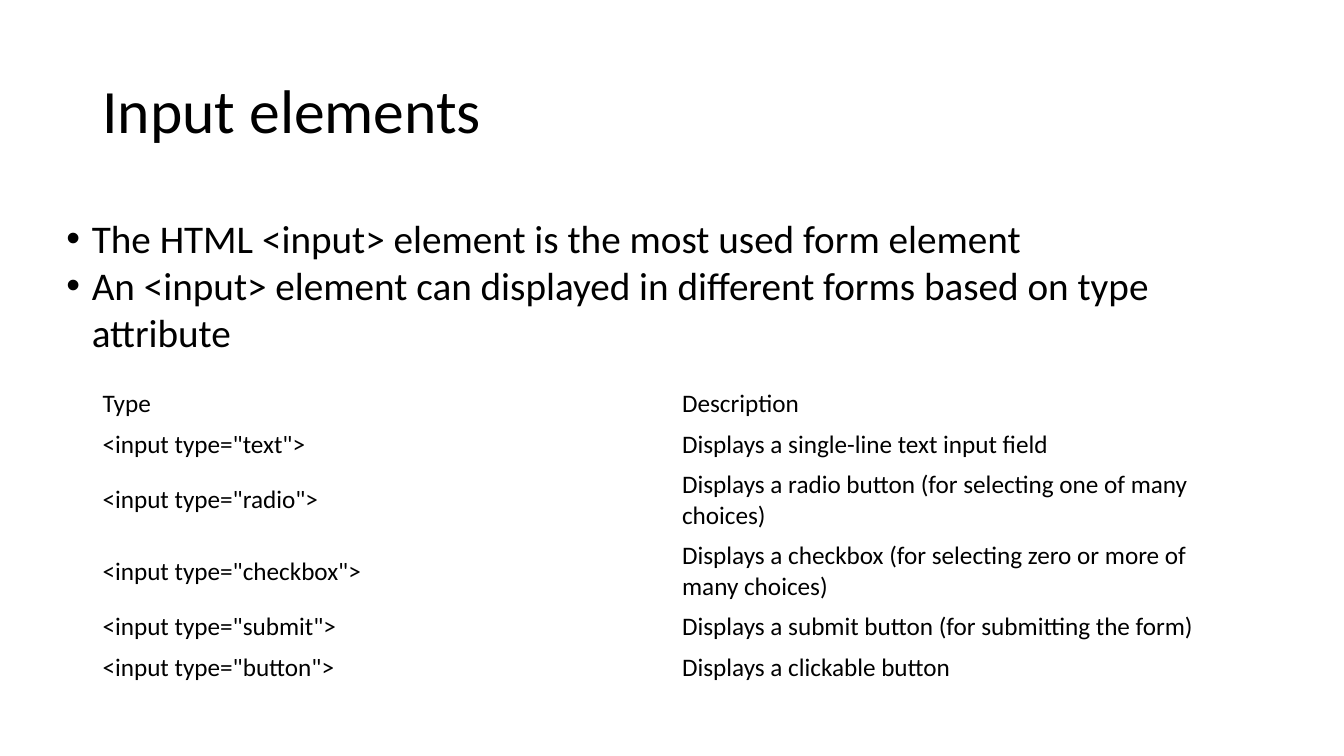
import pptx
import pptx.dml.color
import pptx.enum.text
import pptx.util

Cm = pptx.util.Cm
Pt = pptx.util.Pt
Align = pptx.enum.text.PP_ALIGN
Anchor = pptx.enum.text.MSO_ANCHOR

TITLE = "Input elements"
POINTS = [
    "The HTML <input> element is the most used form element",
    "An <input> element can displayed in different forms based on type attribute",
]
ROWS = [
    ("Type", "Description"),
    ('<input type="text">', "Displays a single-line text input field"),
    ('<input type="radio">', "Displays a radio button (for selecting one of many choices)"),
    ('<input type="checkbox">', "Displays a checkbox (for selecting zero or more of many choices)"),
    ('<input type="submit">', "Displays a submit button (for submitting the form)"),
    ('<input type="button">', "Displays a clickable button"),
]
THEME = {
    "font": "Calibri",
    "ink": pptx.dml.color.RGBColor(0, 0, 0),
    "title": Pt(44),
    "body": Pt(28),
    "cell": Pt(18),
}
LEFT, WIDTH = Cm(2.33), Cm(29.21)
INDENT = Cm(0.64)
PAD = Cm(0.12)
LINE = Cm(1)


def style(para, role):
    para.alignment = Align.LEFT
    para.font.name = THEME["font"]
    para.font.size = THEME[role]
    para.font.color.rgb = THEME["ink"]


def place(shape, left, top, width, height):
    shape.left, shape.top, shape.width, shape.height = left, top, width, height
    shape.text_frame.vertical_anchor = Anchor.MIDDLE


def add_title(slide):
    title = slide.shapes.title
    place(title, LEFT, Cm(1.01), WIDTH, Cm(3.68))
    title.text_frame.text = TITLE
    para = title.text_frame.paragraphs[0]
    para.line_spacing = 0.9
    style(para, "title")


def add_points(slide):
    body = slide.placeholders[1]
    place(body, Cm(1.42), Cm(5.26), Cm(31.01), Cm(3.84))
    body.text_frame.text = "\n".join(POINTS)
    for para in body.text_frame.paragraphs:
        style(para, "body")
        para.space_before = Pt(0)
        props = para._p.get_or_add_pPr()
        props.set("marL", str(INDENT))
        props.set("indent", str(-INDENT))


def add_types(slide):
    frame = slide.shapes.add_table(
        len(ROWS), len(ROWS[0]), LEFT, Cm(9.68), WIDTH, LINE * len(ROWS)
    )
    table = frame.table
    table.first_row = table.horz_banding = False
    for r, row in enumerate(ROWS):
        for c, text in enumerate(row):
            cell = table.cell(r, c)
            cell.fill.background()
            cell.margin_top = cell.margin_bottom = PAD
            cell.vertical_anchor = Anchor.MIDDLE
            cell.text = text
            style(cell.text_frame.paragraphs[0], "cell")


def main():
    deck = pptx.Presentation()
    deck.slide_width, deck.slide_height = Cm(33.87), Cm(19.05)
    slide = deck.slides.add_slide(deck.slide_layouts[1])
    add_title(slide)
    add_points(slide)
    add_types(slide)
    deck.save("out.pptx")


if __name__ == "__main__":
    main()
